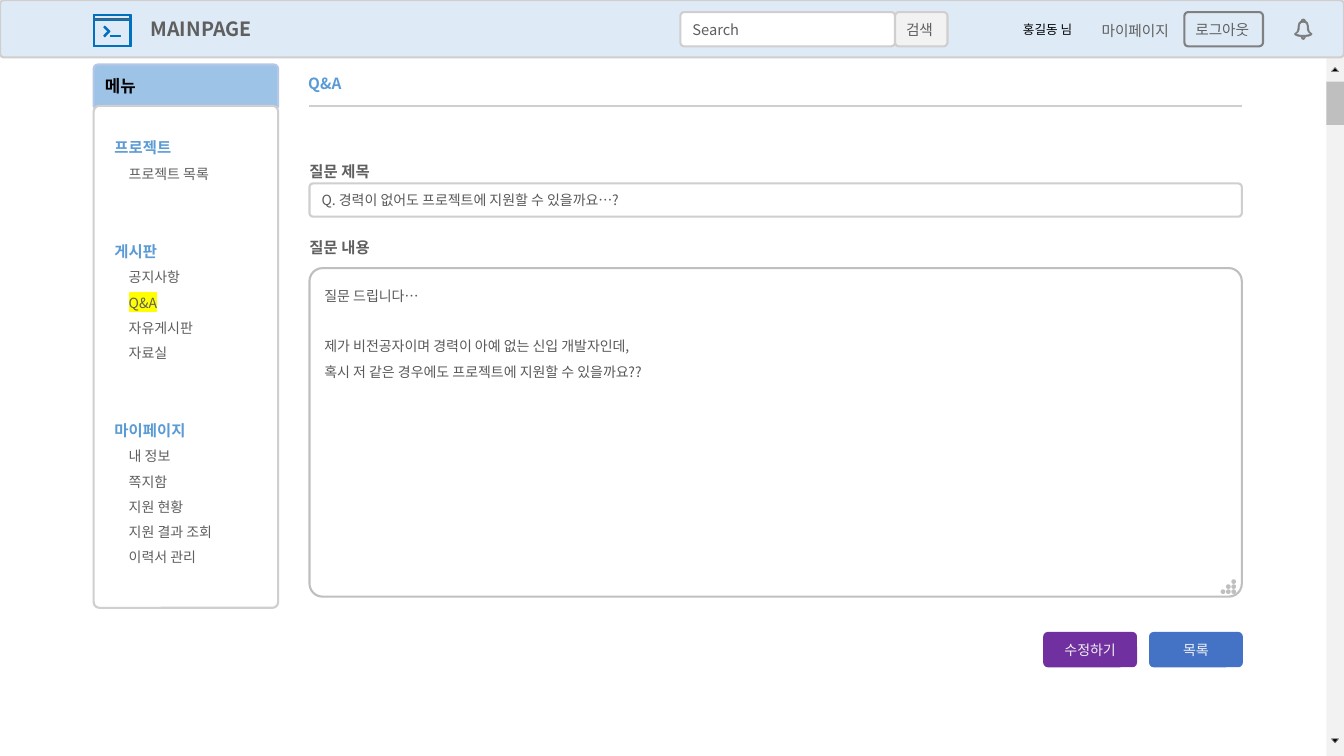
from dataclasses import dataclass
from math import cos, pi, sin
from typing import NamedTuple

from lxml import etree
from pptx import Presentation
from pptx import util as u
from pptx.dml import color
from pptx.enum import shapes, text
from pptx.oxml import ns

COLS, ROWS = 160, 90
CELL = u.Inches(7.5) // ROWS
FINE = 100  # outline points per cell

Point = tuple[float, float]
Kind = shapes.MSO_SHAPE
Mid, Top = text.MSO_ANCHOR.MIDDLE, text.MSO_ANCHOR.TOP


@dataclass(frozen=True)
class Theme:
    font: str = "Noto Sans CJK KR"
    black: str = "000000"
    white: str = "FFFFFF"
    pale: str = "F2F2F2"
    silver: str = "BFBFBF"
    edge: str = "D0CECE"
    gray: str = "808080"
    ink: str = "5F5F5F"
    dark: str = "595959"
    accent: str = "5B9BD5"
    sky: str = "DEEBF7"
    head: str = "9DC3E6"
    rim: str = "B4C7E7"
    blue: str = "4472C4"
    purple: str = "7030A0"
    icon: str = "0070C0"
    mark: str = "FFFF00"
    brand: float = 14
    menu: float = 12
    title: float = 11
    bar: float = 10.5
    body: float = 10
    small: float = 9
    stroke: float = 1.5


T = Theme()


class Area(NamedTuple):
    x: float
    y: float
    w: float
    h: float


class Para(NamedTuple):
    words: str
    size: float = T.body
    tint: str = T.ink
    bold: bool = False
    mark: str | None = None
    indent: float = 0
    space: float | None = None
    before: float = 0
    after: float = 0


@dataclass(frozen=True)
class Box:
    area: Area
    fill: str | None = None
    line: str | None = None
    paras: tuple[Para, ...] = ()
    kind: Kind | None = Kind.ROUNDED_RECTANGLE  # None is a plain text box
    curve: float = 0.11
    pad: tuple[float, float] = (1.2, 0.84)
    anchor: text.MSO_ANCHOR = Mid
    align: text.PP_ALIGN = text.PP_ALIGN.LEFT
    wrap: bool = True


def grid(count: float) -> u.Emu:
    return u.Emu(round(count * CELL))


def rgb(code: str) -> color.RGBColor:
    return color.RGBColor.from_string(code)


def paint(shape, fill: str | None, line: str | None, width: float = T.stroke) -> None:
    shape.shadow.inherit = False
    if fill:
        shape.fill.solid()
        shape.fill.fore_color.rgb = rgb(fill)
    else:
        shape.fill.background()
    if line:
        shape.line.color.rgb = rgb(line)
        shape.line.width = u.Pt(width)
    else:
        shape.line.fill.background()


def write(para, item: Para) -> None:
    para.line_spacing = item.space
    para.space_before, para.space_after = u.Pt(item.before), u.Pt(item.after)
    if item.indent:
        para._p.get_or_add_pPr().set("marL", str(grid(item.indent)))
    run = para.add_run()
    run.text = item.words
    font = run.font
    font.size, font.bold, font.name = u.Pt(item.size), item.bold, T.font
    font.color.rgb = rgb(item.tint)
    props = run._r.get_or_add_rPr()
    props.find(ns.qn("a:latin")).addnext(
        etree.Element(ns.qn("a:ea"), typeface=T.font))
    if item.mark:
        light = etree.Element(ns.qn("a:highlight"))
        etree.SubElement(light, ns.qn("a:srgbClr"), val=item.mark)
        props.find(ns.qn("a:solidFill")).addnext(light)


def draw(slide, box: Box) -> None:
    place = [grid(v) for v in box.area]
    if box.kind is None:
        shape = slide.shapes.add_textbox(*place)
    else:
        shape = slide.shapes.add_shape(box.kind, *place)
        paint(shape, box.fill, box.line)
        if len(shape.adjustments):
            shape.adjustments[0] = box.curve
    frame = shape.text_frame
    frame.word_wrap, frame.vertical_anchor = box.wrap, box.anchor
    frame.margin_left = frame.margin_right = grid(box.pad[0])
    frame.margin_top = frame.margin_bottom = grid(box.pad[1])
    for i, item in enumerate(box.paras):
        para = frame.add_paragraph() if i else frame.paragraphs[0]
        para.alignment = box.align
        write(para, item)


def trace(slide, rings: list[list[Point]], fill: str, line: str, width: float) -> None:
    """Draw closed rings, given in cells, as one outline."""
    scaled = [[(x * FINE, y * FINE) for x, y in ring] for ring in rings]
    pen = slide.shapes.build_freeform(*scaled[0][0], scale=CELL / FINE)
    for i, ring in enumerate(scaled):
        if i:
            pen.move_to(*ring[0])
        pen.add_line_segments(ring[1:], close=True)
    paint(pen.convert_to_shape(), fill, line, width)


def frame(x: float, y: float, w: float, h: float) -> list[Point]:
    return [(x, y), (x + w, y), (x + w, y + h), (x, y + h)]


def mirror(half: list[Point], x: float, y: float) -> list[Point]:
    """Close a right-hand half outline about the axis x."""
    whole = half + [(-a, b) for a, b in reversed(half) if a]
    return [(x + a, y + b) for a, b in whole]


def dot(x: float, y: float, r: float = 0.15) -> list[Point]:
    return [(x + r * cos(k * pi / 6), y + r * sin(k * pi / 6)) for k in range(12)]


LEFT, WIDE = 36.84, 111
RIGHT = LEFT + WIDE
SIDE, SPAN = 11.16, 21.96
RULE = 12.6
BAR = 6.84
TRACK = 157.92

MENU = {
    "프로젝트": ("프로젝트 목록",),
    "게시판": ("공지사항", "Q&A", "자유게시판", "자료실"),
    "마이페이지": ("내 정보", "쪽지함", "지원 현황", "지원 결과 조회", "이력서 관리"),
}
menu: list[Para] = []
for name, items in MENU.items():
    menu.append(Para(name, T.title, T.accent, True, space=1.5, before=36 if menu else 0))
    menu += [Para(item, mark=T.mark if item == "Q&A" else None, indent=1.7, space=1.5)
             for item in items]

QUERY = (
    Para("질문 드립니다…", tint=T.dark, space=1.5),
    Para("제가 비전공자이며 경력이 아예 없는 신입 개발자인데,", tint=T.dark, space=1.5, before=18),
    Para("혹시 저 같은 경우에도 프로젝트에 지원할 수 있을까요??", tint=T.dark, space=1.5),
)

BOXES = [
    Box(Area(TRACK, BAR, COLS - TRACK, ROWS - BAR), T.pale, kind=Kind.RECTANGLE),
    Box(Area(TRACK, 9.72, COLS - TRACK, 5.16), T.silver, kind=Kind.RECTANGLE),
    Box(Area(SIDE, 7.68, SPAN, 5.04), T.head, T.rim, (Para("메뉴", T.menu, T.black, True),),
        Kind.ROUND_2_SAME_RECTANGLE, 0.1, (1.2, 1.2), Top),
    Box(Area(SIDE, RULE, SPAN, 59.76), T.white, T.edge, tuple(menu),
        curve=0.03, pad=(2.28, 2.6), anchor=Top),
    Box(Area(35.52, 8.28, 20.76, 3.48), paras=(Para("Q&A", T.title, T.accent, True),),
        kind=None, pad=(1.2, 0.6), anchor=Top),
    Box(Area(0, 0, COLS, BAR), T.sky, T.edge, (Para("MAINPAGE", T.brand, bold=True),),
        curve=0.07, pad=(17.8, 0.6)),
    Box(Area(81, 1.44, 25.56, 4.08), T.white, T.edge, (Para("Search", T.bar),), pad=(1.32, 0.84)),
    Box(Area(106.56, 1.44, 6.24, 4.08), T.pale, T.edge, (Para("검색", T.bar),), wrap=False),
    Box(Area(141, 1.44, 9.36, 4.08), T.sky, T.gray, (Para("로그아웃", T.bar),), wrap=False),
    Box(Area(129.84, 1.56, 10.92, 4.08), T.sky, paras=(Para("마이페이지", T.bar),), wrap=False),
    Box(Area(120.6, 2.04, 10.32, 3), paras=(Para("홍길동 님", T.small, T.black),),
        kind=None, pad=(1.2, 0.6), anchor=Top),
    Box(Area(LEFT, 21.84, WIDE, 3.96), T.white, T.edge,
        (Para("Q. 경력이 없어도 프로젝트에 지원할 수 있을까요…?", tint=T.dark),), pad=(1.32, 0.84)),
    Box(Area(LEFT, 31.92, WIDE, 39.12), T.white, T.silver, QUERY,
        curve=0.04, pad=(1.32, 0.84), anchor=Top),
]
BOXES += [Box(Area(LEFT, y, 7.56, 2.52), kind=None, pad=(0, 0), anchor=Top, wrap=False,
              paras=(Para(words, T.title, bold=True, space=1.25, after=5),))
          for words, y in (("질문 제목", 18.72), ("질문 내용", 27.84))]
BOXES += [Box(Area(RIGHT - 10.92 - 12.6 * i, 75.36, 10.92, 3.96), tint, tint,
              (Para(words, tint=T.pale),), align=text.PP_ALIGN.CENTER)
          for i, (words, tint) in enumerate((("목록", T.blue), ("수정하기", T.purple)))]

WINDOW = [
    frame(SIDE, 1.68, 4.44, 3.88), frame(11.3, 1.82, 4.1, 0.44), frame(11.3, 2.4, 4.1, 3),
    [(12.48, 3.12), (13.1, 3.74), (12.48, 4.38), (12.36, 4.24), (12.86, 3.74), (12.36, 3.24)],
    frame(13.16, 4.24, 1.16, 0.16),
]
BELL = [
    [(0, 0), (0.17, 0.06), (0.24, 0.22), (0.5, 0.45), (0.6, 0.84), (0.63, 1.2), (0.72, 1.5),
     (0.84, 1.62), (1.02, 1.74), (0.98, 1.86), (0.7, 2), (0.24, 2.06), (0.22, 2.2),
     (0.12, 2.36), (0, 2.4)],
    [(0, 0.1), (0.1, 0.14), (0.12, 0.26), (0, 0.24)],
    [(0, 0.36), (0.25, 0.4), (0.42, 0.55), (0.48, 0.84), (0.5, 1.2), (0.6, 1.5), (0.84, 1.7),
     (0.9, 1.76), (0.7, 1.86), (0.4, 1.92), (0, 1.94)],
    [(0, 2.05), (0.14, 2.06), (0.12, 2.2), (0, 2.28)],
]


def main() -> None:
    deck = Presentation()
    deck.slide_width, deck.slide_height = grid(COLS), grid(ROWS)
    slide = deck.slides.add_slide(deck.slide_layouts[6])
    for box in BOXES:
        draw(slide, box)
    rule = slide.shapes.add_connector(
        shapes.MSO_CONNECTOR.STRAIGHT, grid(LEFT), grid(RULE), grid(RIGHT), grid(RULE))
    rule.line.color.rgb, rule.line.width = rgb(T.edge), u.Pt(T.stroke)
    etree.SubElement(rule._element.spPr, ns.qn("a:effectLst"))
    for base, tip in ((8.52, 8.04), (87.96, 88.44)):
        trace(slide, [[(158.52, base), (158.94, tip), (159.36, base)]], T.black, T.gray, 0.5)
    trace(slide, WINDOW, T.ink, T.icon, 0.75)
    trace(slide, [mirror(half, 155.16, 2.28) for half in BELL], T.ink, T.gray, 0.75)
    grip = [dot(145.6 + 0.64 * i, 70.44 - 0.6 * j) for i in range(3) for j in range(i + 1)]
    trace(slide, grip, T.white, T.silver, T.stroke)
    deck.save("out.pptx")


if __name__ == "__main__":
    main()
